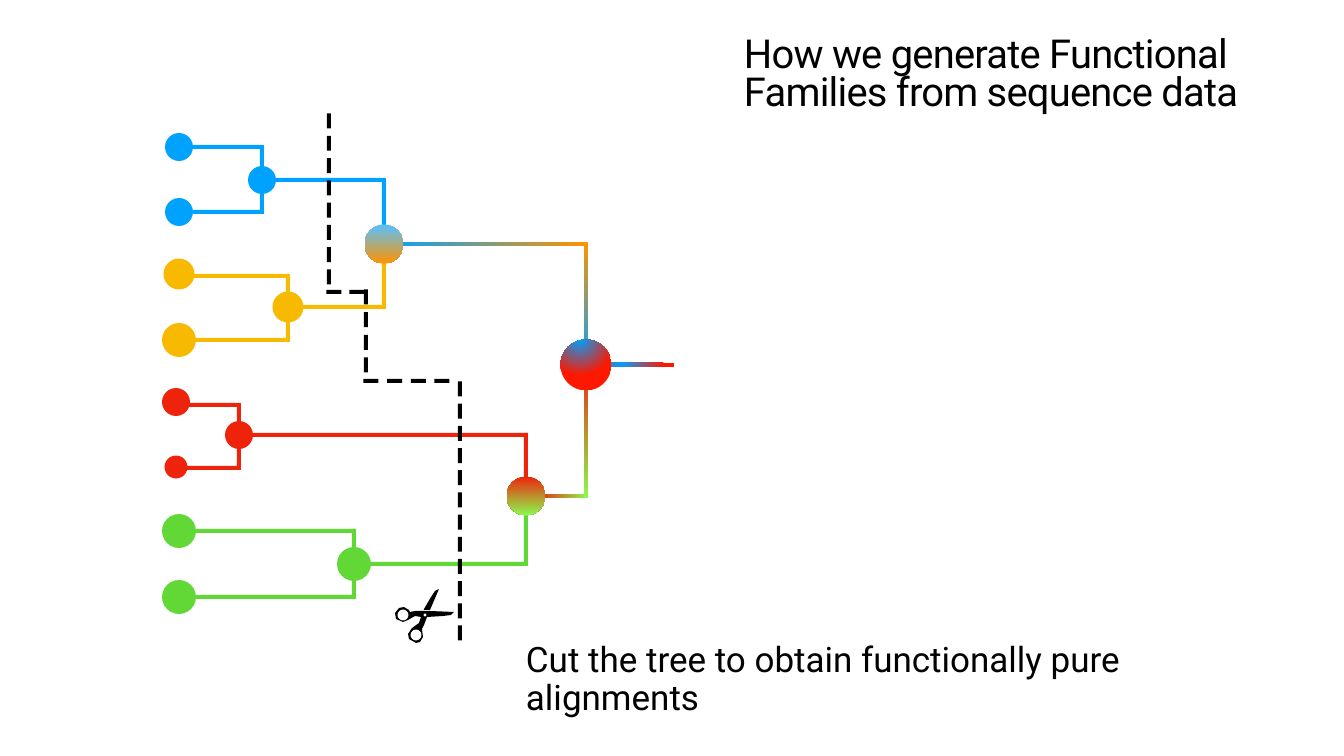
"""Build a slide showing a tree cut into functionally pure families."""
from math import cos, pi, sin

from pptx import Presentation
from pptx.dml.color import RGBColor
from pptx.enum.shapes import MSO_SHAPE as SHAPE
from pptx.enum.text import MSO_ANCHOR as ANCHOR, MSO_AUTO_SIZE as AUTO_SIZE, PP_ALIGN as ALIGN
from pptx.oxml import parse_xml
from pptx.oxml.ns import nsdecls, qn
from pptx.util import Pt

PX = 914400 / 50.4
THICK = 4
DASH = 15
FONT = "Roboto"
COLORS = {
    "blue": "00A2FF", "sky": "56C1FF", "yellow": "F8BA00", "orange": "FF9300",
    "red": "EE230C", "scarlet": "FF1800", "green": "61D836", "lime": "89FA4E",
    "black": "000000",
}
TITLE = "How we generate Functional Families from sequence data"
CAPTION = "Cut the tree to obtain functionally pure alignments"

ROOT_FILL = ("blue", "scarlet", None)
CLADES = [
    {"color": "blue", "stem": 193, "leaves": [(179, 147, 28), (179, 212, 28)],
     "rows": (147, 212), "joint": (262, 180, 28), "parent": 0},
    {"color": "yellow", "stem": 193, "leaves": [(179, 274, 31), (179, 340, 34)],
     "rows": (276, 340), "joint": (288, 307, 31), "parent": 0},
    {"color": "red", "stem": 187, "leaves": [(176, 402, 28), (176, 467, 23)],
     "rows": (405, 468), "joint": (239, 435, 28), "parent": 1},
    {"color": "green", "stem": 187, "leaves": [(179, 531, 34), (179, 597, 34)],
     "rows": (531, 597), "joint": (354, 564, 34), "parent": 1},
]
MERGES = [
    {"node": (384, 244, 39), "fill": ("sky", "orange", 90), "start": 385,
     "branch": ("blue", "orange", 0), "riser": ("blue", "orange", 270)},
    {"node": (526, 496, 39), "fill": ("red", "lime", 90), "start": 537,
     "branch": ("red", "lime", 0), "riser": ("red", "lime", 90)},
]
ROOT = (586, 365, 51)
TAIL_END = 674

CUT_RUNS = [
    ((329, 121), (329, 277), 8),
    ((334, 292), (357, 292), 2),
    ((366, 297), (366, 365), 4),
    ((371, 381), (442, 381), 4),
    ((460, 389), (460, 633), 12),
]
SCISSOR_OUTLINES = [
    [(416, 643), (409, 639), (408, 634), (412, 628), (419, 623), (421, 617),
     (415, 616), (408, 620), (403, 622), (396, 619), (395, 613), (399, 608),
     (404, 607), (409, 610), (410, 612), (415, 611), (430, 611), (454, 612),
     (451, 615), (443, 616), (427, 617), (424, 625), (422, 629), (423, 637),
     (420, 642)],
    [(430, 610), (424, 610), (424, 609), (431, 597), (435, 591), (439, 589)],
]
SCISSOR_HOLES = [(416, 635, 11), (403, 615, 11), (425, 615, 3)]


def emu(*lengths):
    return [round(length * PX) for length in lengths]


def paint(shape, fill):
    shape.shadow.inherit = False
    shape.line.fill.background()
    if isinstance(fill, str):
        shape.fill.solid()
        shape.fill.fore_color.rgb = RGBColor.from_string(COLORS[fill])
        return
    first, last, angle = fill
    stops = "".join(
        f'<a:gs pos="{position}"><a:srgbClr val="{COLORS[name]}"/></a:gs>'
        for position, name in ((0, first), (100000, last)))
    if angle is None:
        course = ('<a:path path="circle"><a:fillToRect l="38000" t="-20000" '
                  'r="62000" b="120000"/></a:path>')
    else:
        course = f'<a:lin ang="{angle * 60000}" scaled="0"/>'
    gradient = parse_xml(f'<a:gradFill {nsdecls("a")} rotWithShape="1">'
                         f'<a:gsLst>{stops}</a:gsLst>{course}</a:gradFill>')
    shape._element.spPr.find(qn("a:prstGeom")).addnext(gradient)


def add_node(shapes, node, fill):
    x, y, size = node
    box = emu(x - size / 2, y - size / 2, size, size)
    paint(shapes.add_shape(SHAPE.OVAL, *box), fill)


def add_bar(shapes, center, width, height, fill):
    x, y = center
    box = emu(x - width / 2, y - height / 2, width, height)
    paint(shapes.add_shape(SHAPE.RECTANGLE, *box), fill)


def add_row(shapes, left, right, y, fill):
    add_bar(shapes, ((left + right) / 2, y), right - left, THICK, fill)


def add_riser(shapes, x, start, end, fill):
    height = abs(end - start) + THICK
    add_bar(shapes, (x, (start + end) / 2), THICK, height, fill)


def add_tree(shapes):
    root_x, root_y, _ = ROOT
    add_row(shapes, root_x + 3, TAIL_END, root_y, ROOT_FILL)
    for merge in MERGES:
        y = merge["node"][1]
        add_row(shapes, merge["start"], root_x + 2, y, merge["branch"])
        add_riser(shapes, root_x, y, root_y, merge["riser"])
    for clade in CLADES:
        color = clade["color"]
        x, y, _ = clade["joint"]
        parent_x, parent_y, _ = MERGES[clade["parent"]]["node"]
        for row in clade["rows"]:
            add_row(shapes, clade["stem"], x + 1, row, color)
        add_riser(shapes, x, *clade["rows"], color)
        add_row(shapes, x + 1, parent_x + 2, y, color)
        add_riser(shapes, parent_x, y, parent_y, color)
        for node in clade["leaves"] + [clade["joint"]]:
            add_node(shapes, node, color)
    for merge in MERGES:
        add_node(shapes, merge["node"], merge["fill"])
    add_node(shapes, ROOT, ROOT_FILL)


def add_cut(shapes):
    for (x1, y1), (x2, y2), count in CUT_RUNS:
        size = (THICK, DASH) if x1 == x2 else (DASH, THICK)
        for index in range(count):
            share = index / (count - 1)
            center = (x1 + (x2 - x1) * share, y1 + (y2 - y1) * share)
            add_bar(shapes, center, *size, "black")


def circle_points(x, y, size, steps=24):
    angles = [2 * pi * step / steps for step in range(steps)]
    return [(x + size / 2 * cos(angle), y + size / 2 * sin(angle)) for angle in angles]


def add_scissors(shapes):
    contours = SCISSOR_OUTLINES + [circle_points(*hole) for hole in SCISSOR_HOLES]
    builder = None
    for contour in contours:
        points = [(round(x * 10), round(y * 10)) for x, y in contour]
        if builder is None:
            builder = shapes.build_freeform(*points[0], scale=PX / 10)
        else:
            builder.move_to(*points[0])
        builder.add_line_segments(points[1:], close=True)
    paint(builder.convert_to_shape(), "black")


def write(shape, text, size, spacing, anchor):
    frame = shape.text_frame
    frame.text = text
    frame.word_wrap = True
    frame.auto_size = AUTO_SIZE.NONE
    frame.vertical_anchor = anchor
    frame.margin_left = frame.margin_right = frame.margin_top = frame.margin_bottom = emu(3)[0]
    paragraph = frame.paragraphs[0]
    paragraph.alignment = ALIGN.LEFT
    paragraph.line_spacing = spacing
    font = paragraph.runs[0].font
    font.name, font.size = FONT, Pt(size)
    font.color.rgb = RGBColor.from_string(COLORS["black"])
    return paragraph.runs[0]


def main():
    presentation = Presentation()
    presentation.slide_width, presentation.slide_height = emu(1344, 756)
    slide = presentation.slides.add_slide(presentation.slide_layouts[5])
    shapes = slide.shapes
    add_tree(shapes)
    cut = shapes.add_group_shape()
    add_cut(cut.shapes)
    add_scissors(cut.shapes)
    caption = shapes.add_textbox(*emu(523, 656, 776, 48))
    write(caption, CAPTION, 50, 0.9, ANCHOR.MIDDLE)
    title = shapes.title
    title.left, title.top, title.width, title.height = emu(741, 35, 571, 94)
    run = write(title, TITLE, 57, 0.8, ANCHOR.TOP)
    run.font._element.set("spc", "-110")
    presentation.save("out.pptx")


if __name__ == "__main__":
    main()
